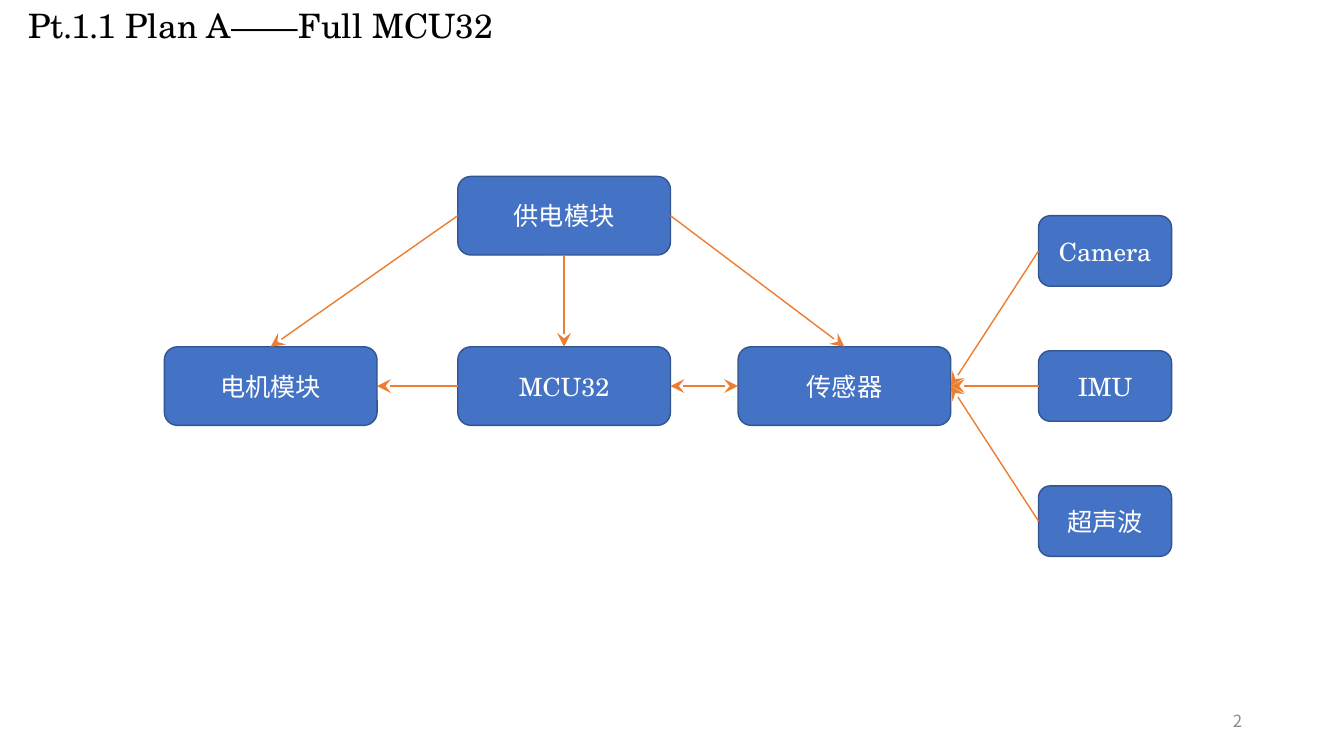
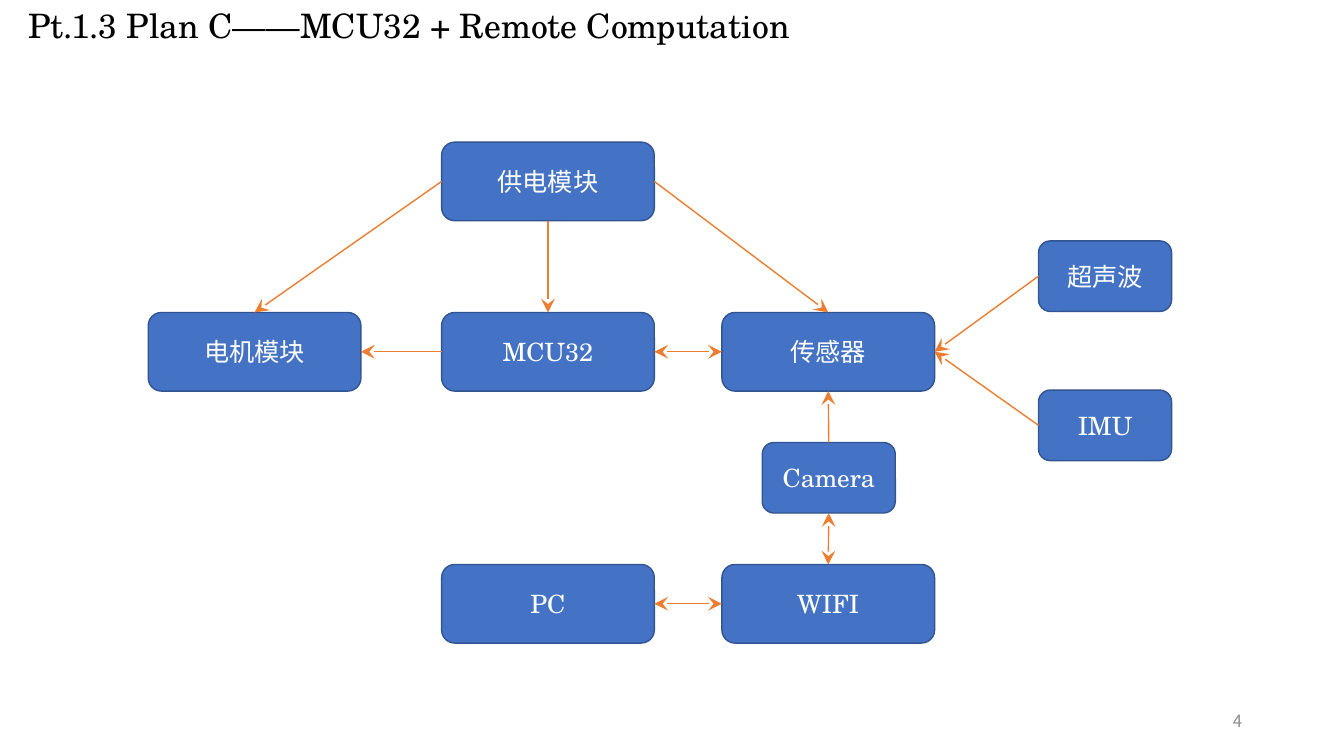
"""Build the two block diagrams of the system plans."""
import lxml.etree
import pptx
import pptx.dml.color
import pptx.enum.shapes
import pptx.enum.text
import pptx.oxml.ns
import pptx.util

Inches = pptx.util.Inches
Pt = pptx.util.Pt
RGBColor = pptx.dml.color.RGBColor
Align = pptx.enum.text.PP_ALIGN
Anchor = pptx.enum.text.MSO_ANCHOR
Shape = pptx.enum.shapes.MSO_SHAPE
Line = pptx.enum.shapes.MSO_CONNECTOR
qn = pptx.oxml.ns.qn

BLUE = RGBColor(0x44, 0x72, 0xC4)
EDGE = RGBColor(0x32, 0x54, 0x91)
ORANGE = RGBColor(0xED, 0x7D, 0x31)
WHITE = RGBColor(0xFF, 0xFF, 0xFF)
BLACK = RGBColor(0, 0, 0)
GRAY = RGBColor(0x8C, 0x8C, 0x8C)

SERIF = "TeX Gyre Schola"
SANS = "Noto Sans CJK SC"
BIG = (2.11, 0.78)
SMALL = (1.32, 0.7)
TOP, LEFT, BOTTOM, RIGHT = range(4)


class Deck:
    def __init__(self):
        self.prs = pptx.Presentation()
        self.prs.slide_width = Inches(13.33)
        self.prs.slide_height = Inches(7.5)
        self.slide = None

    def label(self, shape, text, size, color, align, anchor, font=SERIF):
        frame = shape.text_frame
        frame.text = text
        frame.word_wrap = True
        frame.auto_size = pptx.enum.text.MSO_AUTO_SIZE.NONE
        frame.vertical_anchor = anchor
        para = frame.paragraphs[0]
        para.alignment = align
        para.font.size = Pt(size)
        para.font.name = font
        para.font.color.rgb = color
        props = para._p.pPr.find(qn("a:defRPr"))
        lxml.etree.SubElement(props, qn("a:ea"), typeface=SANS)

    def page(self, title, number):
        self.slide = self.prs.slides.add_slide(self.prs.slide_layouts[5])
        head = self.slide.shapes.title
        head.left, head.top = Inches(0), Inches(0)
        head.width, head.height = Inches(8.29), Inches(0.5)
        self.label(head, title, 24, BLACK, Align.LEFT, Anchor.TOP)
        head.text_frame.margin_left = Inches(0.28)
        foot = self.slide.shapes.add_textbox(
            Inches(9.42), Inches(6.95), Inches(3), Inches(0.4))
        self.label(foot, str(number), 12, GRAY, Align.RIGHT, Anchor.MIDDLE, SANS)

    def box(self, text, x, y, size=BIG):
        shape = self.slide.shapes.add_shape(
            Shape.ROUNDED_RECTANGLE, Inches(x), Inches(y), *map(Inches, size))
        shape.shadow.inherit = False
        shape.fill.solid()
        shape.fill.fore_color.rgb = BLUE
        shape.line.color.rgb = EDGE
        shape.line.width = Pt(1)
        self.label(shape, text, 18, WHITE, Align.CENTER, Anchor.MIDDLE)
        return shape

    def arrow(self, start, out, end, into, both=False):
        link = self.slide.shapes.add_connector(Line.STRAIGHT, 0, 0, 0, 0)
        link.begin_connect(start, out)
        link.end_connect(end, into)
        link.line.color.rgb = ORANGE
        link.line.width = Pt(1)
        props = link._element.spPr
        line = props.find(qn("a:ln"))
        for tag in ("a:headEnd", "a:tailEnd") if both else ("a:tailEnd",):
            lxml.etree.SubElement(line, qn(tag), type="stealth", w="lg", len="lg")
        lxml.etree.SubElement(props, qn("a:effectLst"))

    def core(self, x, y):
        """Draw the power, motor, controller and sensor boxes; return the sensor."""
        mid, row = x + 2.91, y + 1.69
        power = self.box("供电模块", mid, y)
        motor = self.box("电机模块", x, row)
        chip = self.box("MCU32", mid, row)
        sensor = self.box("传感器", x + 5.69, row)
        self.arrow(power, LEFT, motor, TOP)
        self.arrow(power, BOTTOM, chip, TOP)
        self.arrow(power, RIGHT, sensor, TOP)
        self.arrow(chip, LEFT, motor, RIGHT)
        self.arrow(chip, RIGHT, sensor, LEFT, both=True)
        return sensor

    def feed(self, names, y, step, sensor):
        """Stack small boxes on the right, each pointing at the sensor."""
        for i, name in enumerate(names):
            part = self.box(name, 10.3, y + i * step, SMALL)
            self.arrow(part, LEFT, sensor, RIGHT)


def main():
    deck = Deck()

    deck.page("Pt.1.1 Plan A——Full MCU32", 2)
    sensor = deck.core(1.63, 1.75)
    deck.feed(("Camera", "IMU", "超声波"), 2.14, 1.34, sensor)

    deck.page("Pt.1.3 Plan C——MCU32 + Remote Computation", 4)
    sensor = deck.core(1.47, 1.41)
    deck.feed(("超声波", "IMU"), 2.39, 1.48, sensor)
    camera = deck.box("Camera", 7.56, 4.39, SMALL)
    wifi = deck.box("WIFI", 7.16, 5.6)
    host = deck.box("PC", 4.38, 5.6)
    deck.arrow(camera, TOP, sensor, BOTTOM)
    deck.arrow(camera, BOTTOM, wifi, TOP, both=True)
    deck.arrow(wifi, LEFT, host, RIGHT, both=True)

    deck.prs.save("out.pptx")


if __name__ == "__main__":
    main()
